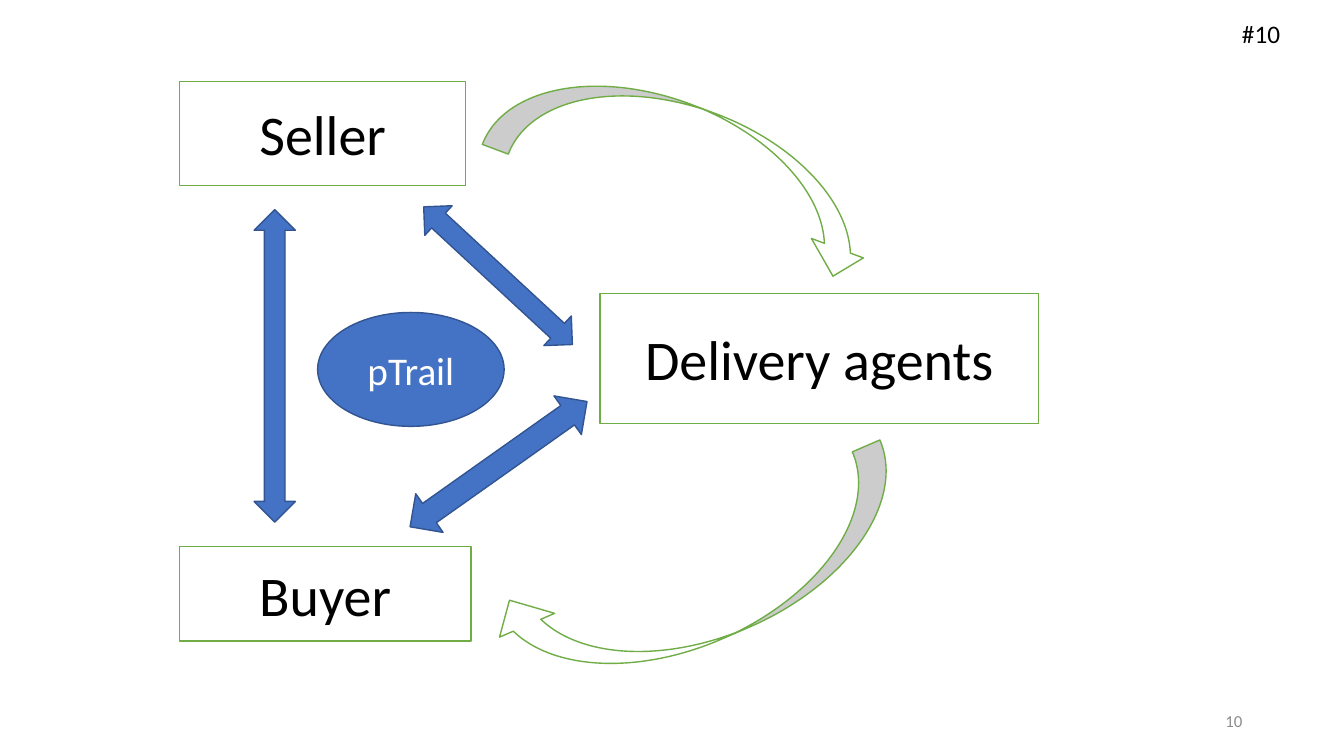
from pptx import Presentation
from pptx import util as u
from pptx.dml.color import RGBColor
from pptx.enum import shapes, text

WHITE = RGBColor(0xFF, 0xFF, 0xFF)
BLACK = RGBColor(0, 0, 0)
GRAY = RGBColor(0x8C, 0x8C, 0x8C)
GREEN = RGBColor(0x70, 0xAD, 0x47)
BLUE = RGBColor(0x44, 0x72, 0xC4)
NAVY = RGBColor(0x32, 0x54, 0x91)

KIND = shapes.MSO_SHAPE
ALIGN = text.PP_ALIGN
MIDDLE = text.MSO_ANCHOR.MIDDLE
TOP = text.MSO_ANCHOR.TOP


def put(obj, **vals):
    """Set each given attribute on an object."""
    for name, val in vals.items():
        setattr(obj, name, val)


def write(shape, words, size, color, align=ALIGN.CENTER, anchor=MIDDLE):
    """Write one line of text in a shape."""
    frame = shape.text_frame
    put(frame, word_wrap=True, vertical_anchor=anchor)
    para = frame.paragraphs[0]
    para.alignment = align
    run = para.add_run()
    run.text = words
    put(run.font, size=u.Pt(size), name="Calibri")
    run.font.color.rgb = color


def draw(slide, kind, box, fill, edge, turn=0):
    """Add a filled and outlined preset shape."""
    shape = slide.shapes.add_shape(kind, *map(u.Inches, box))
    shape.shadow.inherit = False
    shape.fill.solid()
    shape.fill.fore_color.rgb = fill
    shape.line.color.rgb = edge
    shape.line.width = u.Pt(1)
    shape.rotation = turn
    return shape


def label(slide, box, *style):
    """Add a text box with one line."""
    write(slide.shapes.add_textbox(*map(u.Inches, box)), *style)


def main():
    """Build the slide of parties and flows."""
    deck = Presentation()
    put(deck, slide_width=u.Inches(13.33), slide_height=u.Inches(7.5))
    slide = deck.slides.add_slide(deck.slide_layouts[6])

    for name, box in (
        ("Seller", (1.78, 0.81, 2.84, 1.03)),
        ("Buyer", (1.78, 5.42, 2.89, 0.94)),
        ("Delivery agents", (5.95, 2.91, 4.35, 1.29)),
    ):
        write(draw(slide, KIND.RECTANGLE, box, WHITE, GREEN), name, 40, BLACK)

    draw(slide, KIND.CURVED_DOWN_ARROW, (4.85, 1.07, 3.99, 1.1),
         WHITE, GREEN, 20.6)
    back = draw(slide, KIND.CURVED_UP_ARROW, (4.84, 5.17, 4.3, 1.19),
                WHITE, GREEN, 336.6)
    back._element.spPr.xfrm.set("flipH", "1")

    for box, turn in (
        ((2.52, 2.08, 0.41, 3.1), 0),
        ((4.71, 3.53, 0.47, 2.15), 54.7),
        ((4.74, 1.73, 0.4, 2.01), 312.8),
    ):
        draw(slide, KIND.UP_DOWN_ARROW, box, BLUE, NAVY, turn)

    hub = draw(slide, KIND.OVAL, (3.15, 3.1, 1.85, 1.13), BLUE, NAVY)
    write(hub, "pTrail", 28, WHITE)

    label(slide, (9.42, 6.95, 3, 0.4), "10", 12, GRAY, ALIGN.RIGHT)
    label(slide, (12.22, 0.13, 0.67, 0.4), "#10", 18, BLACK, ALIGN.LEFT, TOP)
    deck.save("out.pptx")


main()
